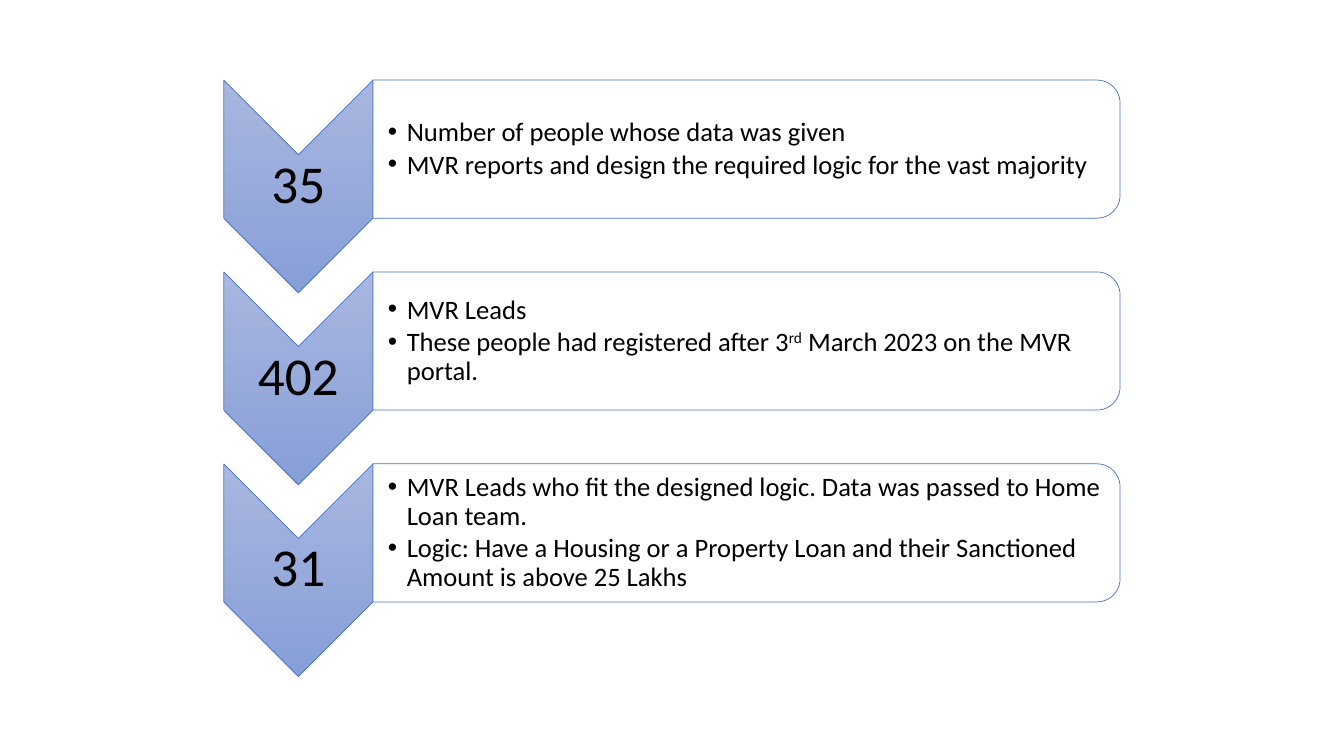
from dataclasses import dataclass

from lxml import etree
from pptx import Presentation
from pptx.dml.color import RGBColor
from pptx.enum.shapes import MSO_SHAPE
from pptx.enum.text import MSO_ANCHOR, MSO_AUTO_SIZE, PP_ALIGN
from pptx.oxml.ns import qn
from pptx.util import Inches, Pt

CHEVRON = MSO_SHAPE.CHEVRON
PANEL = MSO_SHAPE.ROUND_2_SAME_RECTANGLE
MIDDLE = MSO_ANCHOR.MIDDLE
FIXED = MSO_AUTO_SIZE.NONE
CENTER = PP_ALIGN.CENTER
LEFT = PP_ALIGN.LEFT


@dataclass(frozen=True)
class Theme:
    font: str = "Calibri"
    ink: str = "000000"
    paper: str = "FFFFFF"
    edge: str = "4472C4"
    light: str = "A8B7DF"
    dark: str = "889ED7"
    big: float = 38
    body: float = 19
    line: float = 0.5
    lead: float = 0.9
    gap: float = 2.7
    indent: float = 13.5


class Deck:
    def __init__(self, theme):
        self.theme = theme
        self.prs = Presentation()
        self.prs.slide_width = Inches(13.33)
        self.prs.slide_height = Inches(7.5)
        self.slide = self.prs.slides.add_slide(self.prs.slide_layouts[4])
        self.slots = list(self.slide.placeholders)[1:]
        self.drop(self.slide.shapes.title)

    def drop(self, shape):
        self.slide.shapes._spTree.remove(shape._element)

    def area(self, left, top, width, height):
        wide, high = self.prs.slide_width, self.prs.slide_height
        return [int(part * full / 100) for part, full in
                zip((left, top, width, height), (wide, high, wide, high))]

    def turned(self, kind, box):
        left, top, width, height = self.area(*box)
        shift = (width - height) // 2
        shape = self.slide.shapes.add_shape(
            kind, left + shift, top - shift, height, width)
        shape.rotation = 90
        shape.shadow.inherit = False
        shape.line.color.rgb = RGBColor.from_string(self.theme.edge)
        shape.line.width = Pt(self.theme.line)
        return shape

    def arrow(self, box):
        fill = self.turned(CHEVRON, box).fill
        fill.gradient()
        fill.gradient_angle = 0
        for stop, tone in zip(fill.gradient_stops,
                              (self.theme.light, self.theme.dark)):
            stop.color.rgb = RGBColor.from_string(tone)

    def panel(self, box):
        fill = self.turned(PANEL, box).fill
        fill.solid()
        fill.fore_color.rgb = RGBColor.from_string(self.theme.paper)

    def frame(self, shape, pad, side):
        frame = shape.text_frame
        frame.word_wrap = True
        frame.auto_size = FIXED
        frame.vertical_anchor = MIDDLE
        frame.margin_left = Pt(side)
        frame.margin_right = frame.margin_top = frame.margin_bottom = Pt(pad)
        return frame

    def style(self, para, size, align):
        para.alignment = align
        para.line_spacing = self.theme.lead
        para.space_before = Pt(0)
        for run in para.runs:
            run.font.name = self.theme.font
            run.font.size = Pt(size)
            run.font.bold = False
            run.font.color.rgb = RGBColor.from_string(self.theme.ink)

    def count(self, text, box):
        shape = self.slide.shapes.add_textbox(*self.area(*box))
        frame = self.frame(shape, 2, 2)
        frame.text = text
        self.style(frame.paragraphs[0], self.theme.big, CENTER)

    def bullet(self, para):
        props = para._p.get_or_add_pPr()
        props.set("marL", str(Pt(self.theme.indent)))
        props.set("indent", str(-Pt(self.theme.indent)))
        etree.SubElement(props, qn("a:buFont"), typeface="Arial")
        etree.SubElement(props, qn("a:buChar"), char="•")

    def points(self, items, box):
        shape = self.slots.pop(0)
        self.slide.shapes._spTree.append(shape._element)
        shape.left, shape.top, shape.width, shape.height = self.area(*box)
        frame = self.frame(shape, 0.7, 10.7)
        for row, item in enumerate(items):
            para = frame.add_paragraph() if row else frame.paragraphs[0]
            self.bullet(para)
            for spot, text in enumerate(item.split("^")):
                run = para.add_run()
                run.text = text
                if spot % 2:
                    run.font._element.set("baseline", "30000")
            self.style(para, self.theme.body, LEFT)
            para.space_after = Pt(self.theme.gap)

    def save(self):
        for slot in self.slots:
            self.drop(slot)
        self.prs.save("out.pptx")


STEPS = [
    ("35", ["Number of people whose data was given",
            "MVR reports and design the required logic for the vast majority"]),
    ("402", ["MVR Leads",
             "These people had registered after 3^rd^ March 2023 on the MVR portal."]),
    ("31", ["MVR Leads who fit the designed logic. Data was passed to Home Loan team.",
            "Logic: Have a Housing or a Property Loan and their Sanctioned Amount "
            "is above 25 Lakhs"]),
]
START, PITCH = 10.6, 25.38
ARROW_X, ARROW_W = 16.65, 11.1
PANEL_X = ARROW_X + ARROW_W


def main():
    deck = Deck(Theme())
    for row, (total, items) in enumerate(STEPS):
        top = START + row * PITCH
        deck.arrow((ARROW_X, top, ARROW_W, 28.13))
        deck.count(total, (ARROW_X, top + 9.8, ARROW_W, 8.4))
        deck.panel((PANEL_X, top, 55.59, 18.27))
        deck.points(items, (PANEL_X, top + 0.87, 55.06, 16.53))
    deck.save()


if __name__ == "__main__":
    main()
